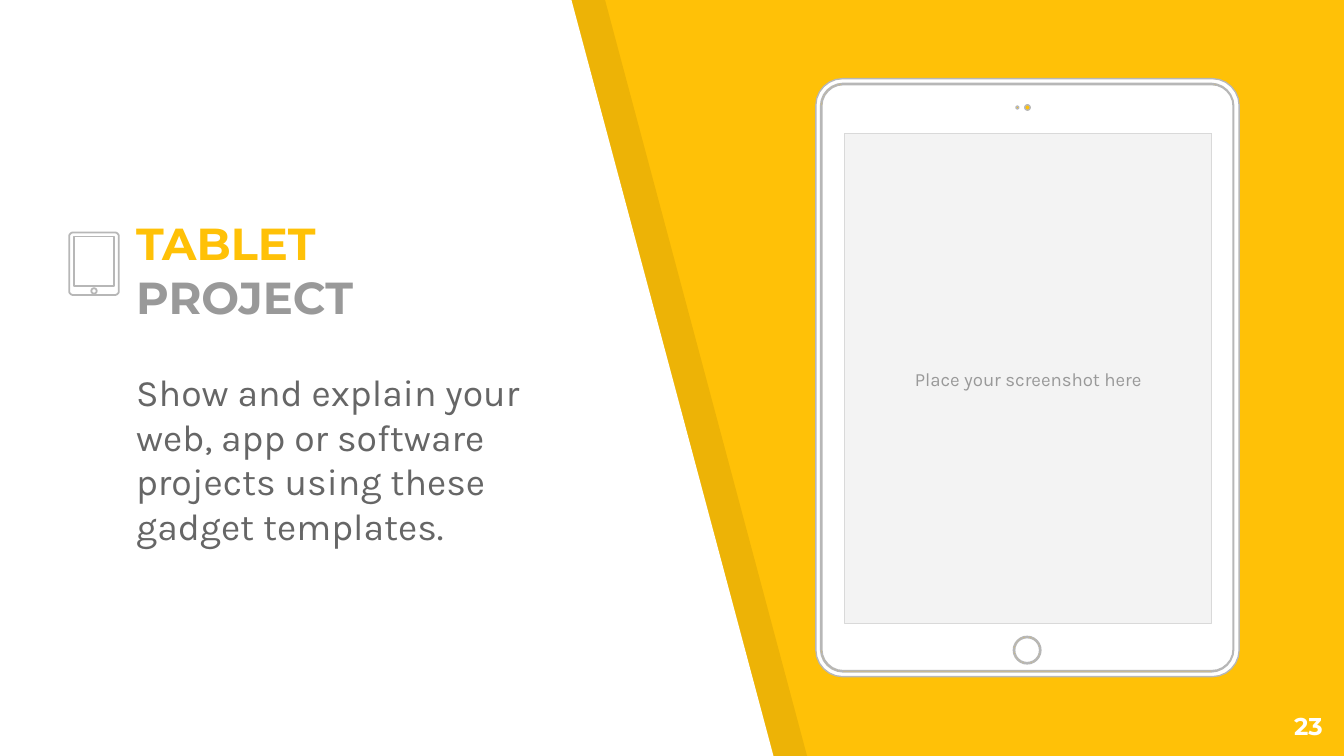
"""Build a tablet project slide on a 16:9 grid of 1000 columns."""
import math

import pptx
import pptx.dml.color
import pptx.enum.shapes
import pptx.enum.text
import pptx.oxml.ns
import pptx.util
from lxml import etree

COLORS = {
    "yellow": "FFC107", "white": "FFFFFF", "black": "000000", "outline": "B7B7B7",
    "screen": "F3F3F3", "screen_edge": "D9D9D9", "muted": "999999", "body": "666666",
}
WIDTH = pptx.util.Inches(10)
HEIGHT = WIDTH * 9 // 16
COLUMNS = 1000
CELL = WIDTH // COLUMNS
FINE = 10

TITLE = [("TABLET", "yellow"), ("PROJECT", "muted")]
BODY = "Show and explain your web, app or software projects using these gadget templates."
PROMPT = "Place your screenshot here"
NUMBER = "23"

TITLE_BOX = (91.5, 197.5, 344, 53)
BODY_BOX = (91.5, 264.5, 344, 247)
NUMBER_BOX = (934, 519.5, 60, 43)
SCREEN_BOX = (628.5, 99.5, 273, 364.5)

PANEL = [(0, -1), (0, 564), (576, 564), (425, -1)]
PANEL_SHADOW_SHIFT = 25

TABLET_PARTS = [
    (607, 58.5, 315, 445, 20),
    (610.5, 62, 307.5, 438, 17),
    (611.5, 63, 306, 436, 16),
    (628.5, 99.5, 272.5, 363, 0),
    (754, 473.5, 20.5, 20.5, 10.25),
    (755, 474.5, 18.5, 18.5, 9.25),
    (756, 79, 2, 2, 1),
    (762.5, 78, 4, 4, 2),
]
ICON_PARTS = [
    (51.5, 173, 37, 46.5, 3),
    (55, 176, 30, 37, 0),
    (68, 214.5, 4, 4, 2),
]


def color(name):
    return pptx.dml.color.RGBColor.from_string(COLORS[name])


def rounded(left, top, width, height, radius, steps=6):
    if not radius:
        return [(left, top), (left + width, top), (left + width, top + height), (left, top + height)]
    points = []
    for quarter in range(4):
        x = left + width - radius if quarter in (0, 3) else left + radius
        y = top + height - radius if quarter in (0, 1) else top + radius
        for step in range(steps + 1):
            angle = math.pi / 2 * (quarter + step / steps)
            points.append((x + radius * math.cos(angle), y + radius * math.sin(angle)))
    return points


def paint(shape, fill=None, line=None, weight=0.75):
    shape.shadow.inherit = False
    if fill:
        shape.fill.solid()
        shape.fill.fore_color.rgb = color(fill)
    else:
        shape.fill.background()
    if line:
        shape.line.color.rgb = color(line)
        shape.line.width = pptx.util.Pt(weight)
    else:
        shape.line.fill.background()
    return shape


def outline(slide, contours):
    contours = [[(x * FINE, y * FINE) for x, y in contour] for contour in contours]
    builder = slide.shapes.build_freeform(*contours[0][0], scale=CELL / FINE)
    builder.add_line_segments(contours[0][1:], close=True)
    for contour in contours[1:]:
        builder.move_to(*contour[0])
        builder.add_line_segments(contour[1:], close=True)
    return builder.convert_to_shape()


def prepare(shape, anchor):
    frame = shape.text_frame
    frame.word_wrap = True
    frame.vertical_anchor = anchor
    frame.margin_left = frame.margin_right = pptx.util.Inches(0.1)
    frame.margin_top = frame.margin_bottom = pptx.util.Inches(0.1)
    return frame.paragraphs[0]


def style(paragraph, font, size, ink=None, bold=False, align=pptx.enum.text.PP_ALIGN.LEFT):
    paragraph.alignment = align
    paragraph.font.name = font
    paragraph.font.size = pptx.util.Pt(size)
    paragraph.font.bold = bold
    if ink:
        paragraph.font.color.rgb = color(ink)


def box(cells):
    return [int(cell * CELL) for cell in cells]


def add_panel(slide):
    shadow = paint(outline(slide, [[(x + PANEL_SHADOW_SHIFT, y) for x, y in PANEL]]), "black")
    tint = shadow.fill._xPr.find(".//" + pptx.oxml.ns.qn("a:srgbClr"))
    etree.SubElement(tint, pptx.oxml.ns.qn("a:alpha"), val="7000")
    paint(outline(slide, [PANEL]), "white")


def add_tablet(slide):
    paint(outline(slide, [rounded(*part) for part in TABLET_PARTS]), "white", "outline")
    screen = slide.shapes.add_shape(pptx.enum.shapes.MSO_SHAPE.RECTANGLE, *box(SCREEN_BOX))
    paint(screen, "screen", "screen_edge")
    prompt = prepare(screen, pptx.enum.text.MSO_ANCHOR.MIDDLE)
    prompt.text = PROMPT
    style(prompt, "Karla", 10, "muted", align=pptx.enum.text.PP_ALIGN.CENTER)


def add_texts(slide):
    anchors = pptx.enum.text.MSO_ANCHOR
    title = prepare(slide.shapes.add_textbox(*box(TITLE_BOX)), anchors.BOTTOM)
    for index, (word, ink) in enumerate(TITLE):
        if index:
            title.add_line_break()
        run = title.add_run()
        run.text = word
        run.font.color.rgb = color(ink)
    style(title, "Montserrat", 24, bold=True)

    body = prepare(slide.shapes.add_textbox(*box(BODY_BOX)), anchors.TOP)
    body.text = BODY
    body.space_before = pptx.util.Pt(6)
    style(body, "Karla", 20, "body")

    paint(outline(slide, [rounded(*part) for part in ICON_PARTS]), line="outline", weight=0.96)

    number = prepare(slide.shapes.add_textbox(*box(NUMBER_BOX)), anchors.TOP)
    number.text = NUMBER
    style(number, "Montserrat", 13, "white", True, pptx.enum.text.PP_ALIGN.RIGHT)


def main():
    deck = pptx.Presentation()
    deck.slide_width, deck.slide_height = WIDTH, HEIGHT
    slide = deck.slides.add_slide(deck.slide_layouts[6])
    slide.background.fill.solid()
    slide.background.fill.fore_color.rgb = color("yellow")
    add_panel(slide)
    add_tablet(slide)
    add_texts(slide)
    deck.save("out.pptx")


if __name__ == "__main__":
    main()
